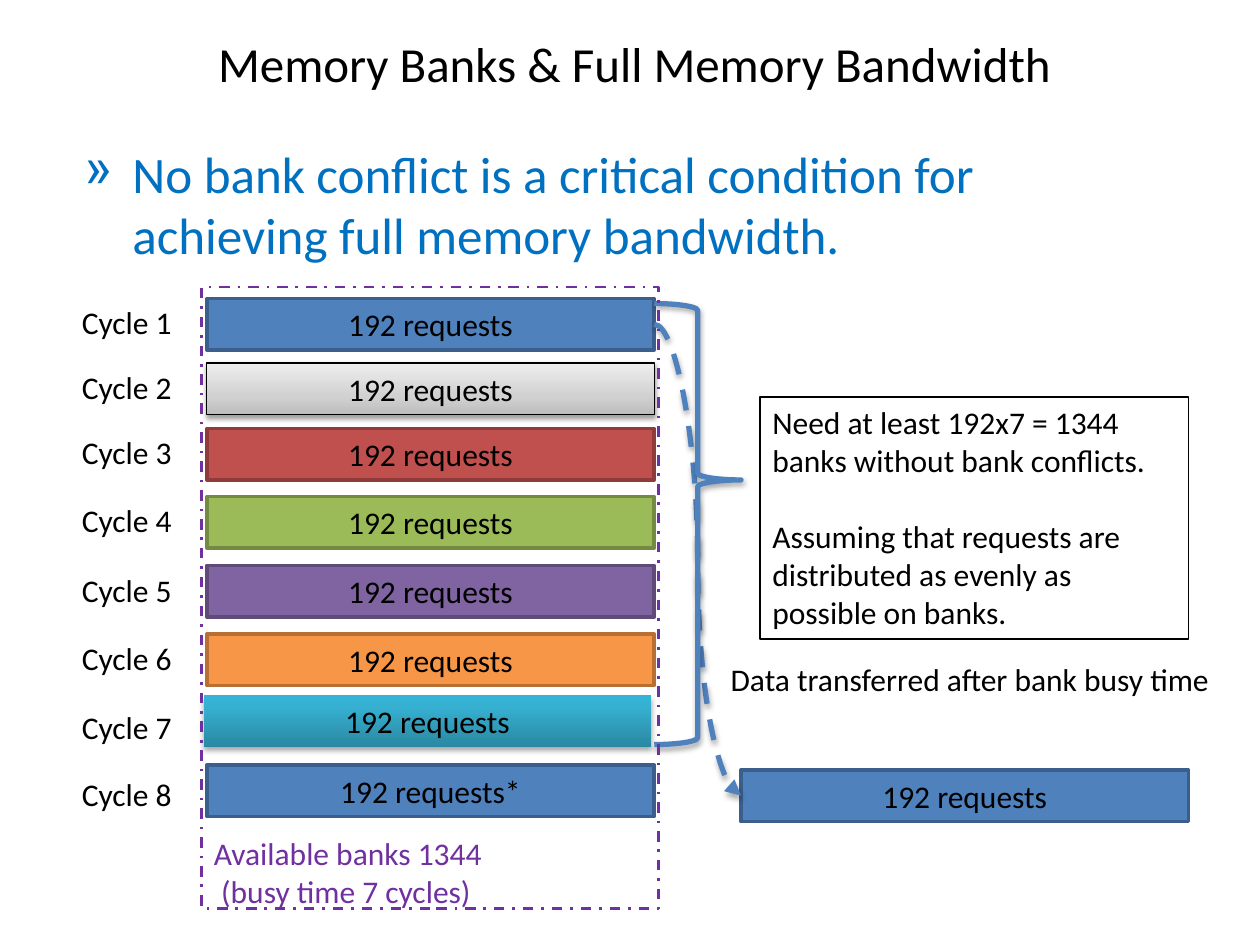
import pptx
import pptx.dml.color
import pptx.enum.dml
import pptx.enum.shapes
import pptx.enum.text
import pptx.oxml.ns
import pptx.util
from lxml import etree

Cm = pptx.util.Cm
Pt = pptx.util.Pt
qn = pptx.oxml.ns.qn
ALIGN = pptx.enum.text.PP_ALIGN
ANCHOR = pptx.enum.text.MSO_ANCHOR
DASH = pptx.enum.dml.MSO_LINE
PRESET = pptx.enum.shapes.MSO_SHAPE

BAR_LEFT, BAR_WIDTH, BAR_HEIGHT = 4.17, 9.02, 1.04
LABEL_LEFT = 1.4
BLUE, BLUE_EDGE, PURPLE = "4F81BD", "3A5F8C", "7030A0"
SILVER = [(0, "BDBDBD"), (35, "D1D1D1"), (100, "EEEEEE")]
TEAL = [(0, "2A88A2"), (80, "37B1D2"), (100, "34B4D6")]

CYCLES = [
    (6.02, 5.99, BLUE, BLUE_EDGE),
    (7.32, 7.29, SILVER, "000000"),
    (8.64, 8.61, "C0504D", "8E3B39"),
    (10.01, 9.98, "9BBB59", "738A42"),
    (11.4, 11.38, "8064A2", "5F4A78"),
    (12.78, 12.75, "F79646", "B76F34"),
    (14.02, 14.15, TEAL, None),
    (15.42, 15.49, BLUE, BLUE_EDGE),
]


def rgb(color):
    return pptx.dml.color.RGBColor.from_string(color)


def add_run(paragraph, text, size=18, color="000000"):
    run = paragraph.add_run()
    run.text = text
    run.font.name = "Calibri"
    run.font.size = Pt(size)
    run.font.color.rgb = rgb(color)


def set_line(line, color, width, dash=None):
    if color is None:
        line.fill.background()
        return
    line.color.rgb = rgb(color)
    line.width = Pt(width)
    if dash is not None:
        line.dash_style = dash


def fill_gradient(shape, stops):
    shape.fill.gradient()
    shape.fill.gradient_angle = 90
    stop_list = shape.element.spPr.find(qn("a:gradFill")).find(qn("a:gsLst"))
    for stop in list(stop_list):
        stop_list.remove(stop)
    for position, color in stops:
        stop = etree.SubElement(stop_list, qn("a:gs"), pos=str(position * 1000))
        etree.SubElement(stop, qn("a:srgbClr"), val=color)


def add_shadow(properties, opacity=35, distance=1.8):
    effects = properties.find(qn("a:effectLst"))
    if effects is None:
        effects = etree.SubElement(properties, qn("a:effectLst"))
    shadow = etree.SubElement(
        effects, qn("a:outerShdw"), blurRad=str(Pt(3.1)), dist=str(Pt(distance)),
        dir="5400000", rotWithShape="0")
    color = etree.SubElement(shadow, qn("a:srgbClr"), val="000000")
    etree.SubElement(color, qn("a:alpha"), val=str(opacity * 1000))


def add_outline(slide, preset, left, top, width, height, color, weight, dash=None):
    shape = slide.shapes.add_shape(preset, Cm(left), Cm(top), Cm(width), Cm(height))
    shape.shadow.inherit = False
    shape.fill.background()
    set_line(shape.line, color, weight, dash)
    return shape


def add_bar(slide, left, top, text, fill, edge):
    weight = 0.75 if fill is SILVER else 2
    bar = add_outline(slide, PRESET.RECTANGLE, left, top, BAR_WIDTH, BAR_HEIGHT, edge, weight)
    if isinstance(fill, str):
        bar.fill.solid()
        bar.fill.fore_color.rgb = rgb(fill)
    else:
        fill_gradient(bar, fill)
        add_shadow(bar.element.spPr, *((38, 1.6) if fill is SILVER else (35, 1.8)))
    frame = bar.text_frame
    frame.vertical_anchor = ANCHOR.MIDDLE
    frame.paragraphs[0].alignment = ALIGN.CENTER
    add_run(frame.paragraphs[0], text)
    return bar


def add_text(slide, left, top, width, height, text, size=18, color="000000", wrap=True):
    box = slide.shapes.add_textbox(Cm(left), Cm(top), Cm(width), Cm(height))
    box.text_frame.word_wrap = wrap
    add_run(box.text_frame.paragraphs[0], text, size, color)
    return box


def set_insets(frame):
    frame.margin_left = frame.margin_right = Cm(0.3)
    frame.margin_top = frame.margin_bottom = Cm(0.15)


def add_title(slide, text):
    title = slide.shapes.title
    title.left, title.top, title.width, title.height = Cm(1.65), Cm(0.51), Cm(22.28), Cm(1.52)
    frame = title.text_frame
    set_insets(frame)
    frame.vertical_anchor = ANCHOR.MIDDLE
    frame.paragraphs[0].alignment = ALIGN.CENTER
    add_run(frame.paragraphs[0], text, 28)


def add_key_point(slide, text):
    point = add_text(slide, 1.4, 2.72, 22.25, 2.34, text, 29.2, "0070C0")
    set_insets(point.text_frame)
    properties = point.text_frame.paragraphs[0]._p.get_or_add_pPr()
    properties.set("marL", str(Cm(0.97)))
    properties.set("indent", str(Cm(-0.97)))
    etree.SubElement(properties, qn("a:buChar"), char="»")


def add_transfer_arrow(slide, first_bar, transferred_bar):
    arrow = slide.shapes.add_connector(
        pptx.enum.shapes.MSO_CONNECTOR.CURVE, Cm(13.19), Cm(6.54), Cm(14.94), Cm(16.04))
    arrow.begin_connect(first_bar, 3)
    arrow.end_connect(transferred_bar, 1)
    set_line(arrow.line, BLUE, 3, DASH.DASH)
    etree.SubElement(arrow.line._get_or_add_ln(), qn("a:tailEnd"), type="triangle")
    add_shadow(arrow._element.spPr)


def add_brace(slide):
    brace = add_outline(slide, PRESET.RIGHT_BRACE, 13.19, 6.12, 1.75, 8.89, BLUE, 3)
    brace.adjustments[0] = 0.08
    brace.adjustments[1] = 0.4
    add_shadow(brace.element.spPr)


def add_bank_note(slide):
    note = add_text(slide, 15.32, 8, 8.64, 4.88,
                    "Need at least 192x7 = 1344 banks without bank conflicts.")
    set_line(note.line, "000000", 1)
    assumption = note.text_frame.add_paragraph()
    assumption.space_before = Pt(22)
    add_run(assumption, "Assuming that requests are distributed as evenly as possible on banks.")


def add_available_banks(slide):
    caption = add_text(slide, 4.06, 16.69, 5.97, 1.8, "Available banks 1344", color=PURPLE, wrap=False)
    busy_time = caption.text_frame.add_paragraph()
    busy_time._p.get_or_add_pPr().set("marL", str(Cm(0.15)))
    add_run(busy_time, "(busy time 7 cycles)", color=PURPLE)
    add_outline(slide, PRESET.RECTANGLE, 4.06, 5.79, 9.22, 12.52, PURPLE, 1.5, DASH.DASH_DOT)


def main():
    deck = pptx.Presentation()
    deck.slide_width, deck.slide_height = Cm(25.4), Cm(19.05)
    slide = deck.slides.add_slide(deck.slide_layouts[5])
    add_title(slide, "Memory Banks & Full Memory Bandwidth")
    add_key_point(slide, "No bank conflict is a critical condition for achieving full memory bandwidth.")

    bars = []
    for cycle, (bar_top, label_top, fill, edge) in enumerate(CYCLES, 1):
        left = 4.11 if fill is TEAL else BAR_LEFT
        request = "192 requests*" if cycle == len(CYCLES) else "192 requests"
        bars.append(add_bar(slide, left, bar_top, request, fill, edge))
        add_text(slide, LABEL_LEFT, label_top, 2.34, 1.02, f"Cycle {cycle}", wrap=False)

    transferred_bar = add_bar(slide, 14.94, 15.52, "192 requests", BLUE, BLUE_EDGE)
    add_transfer_arrow(slide, bars[0], transferred_bar)
    add_text(slide, 14.48, 13.18, 10.29, 1.02, "Data transferred after bank busy time")
    add_brace(slide)
    add_bank_note(slide)
    add_available_banks(slide)
    deck.save("out.pptx")


if __name__ == "__main__":
    main()
